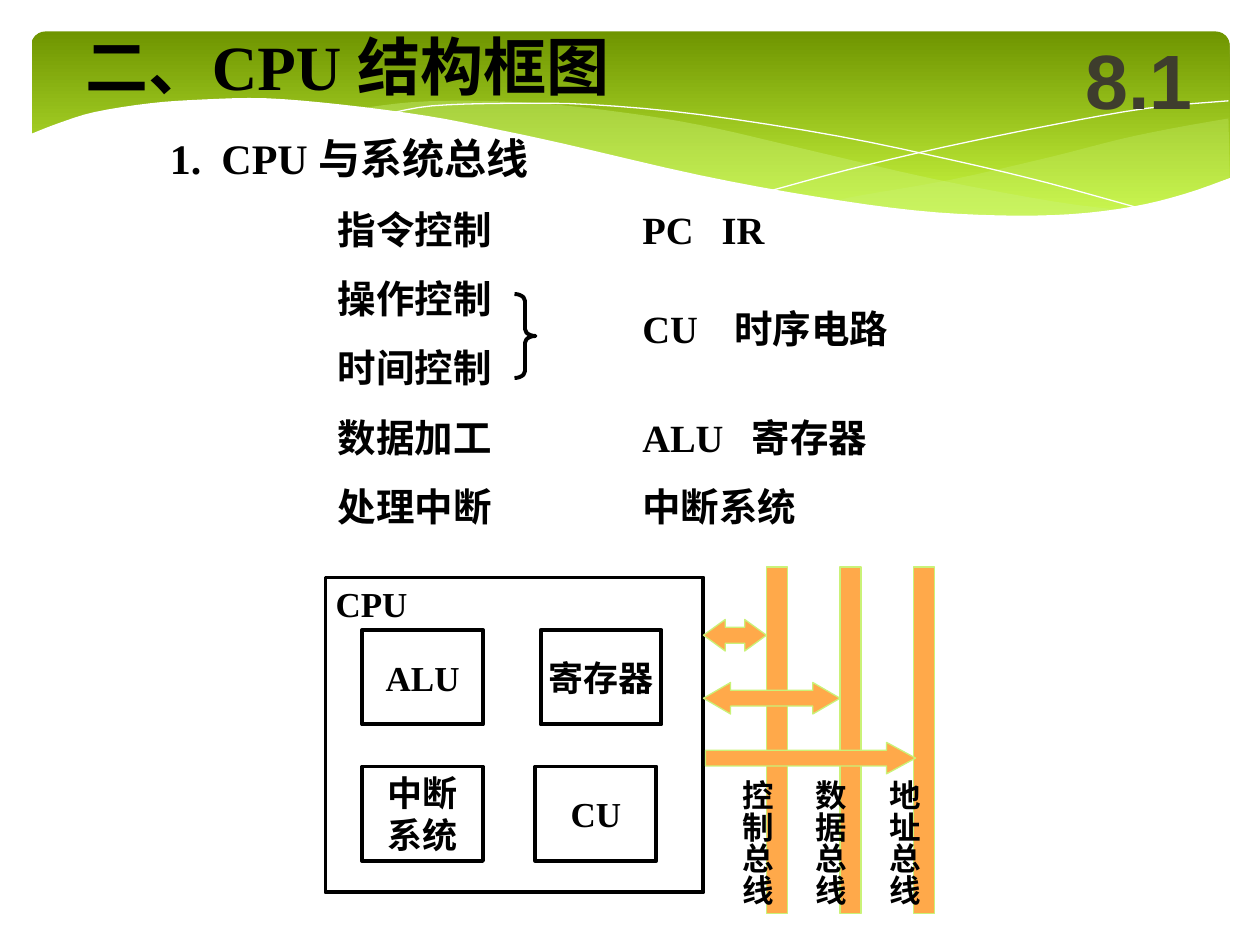
from dataclasses import dataclass

from lxml import etree
from pptx import Presentation
from pptx import util as u
from pptx.dml.color import RGBColor
from pptx.enum import shapes, text
from pptx.oxml.ns import qn

BLACK = RGBColor(0x00, 0x00, 0x00)
WHITE = RGBColor(0xFF, 0xFF, 0xFF)
GREEN = RGBColor(0x6F, 0x95, 0x00)
LIME = RGBColor(0xD0, 0xFF, 0x44)
PALE = RGBColor(0xCA, 0xF2, 0x78)
ORANGE = RGBColor(0xFF, 0xA9, 0x4A)
GRAY = RGBColor(0x3E, 0x3D, 0x2D)

CELL = u.Inches(1) / 12  # the page is a grid of 120 columns and 90 rows
KINDS = shapes.MSO_SHAPE
CENTER = {"alignment": text.PP_ALIGN.CENTER}
MIDDLE = {"vertical_anchor": text.MSO_ANCHOR.MIDDLE}
NO_INSET = dict.fromkeys(
    ("margin_left", "margin_top", "margin_right", "margin_bottom"), 0)

# Knots of the banner curves, in hundredths of an inch
BACK_WAVE = [(975, 94), (935, 101), (891, 110), (832, 125), (753, 143), (661, 160),
             (705, 165), (757, 170), (803, 172), (854, 170), (905, 163), (942, 154),
             (976, 141)]
MIDDLE_TOP = [(893, 167), (837, 160), (741, 142), (629, 116), (569, 102), (514, 92),
              (441, 83), (380, 80), (328, 81), (286, 86)]
MIDDLE_BOTTOM = [(286, 86), (342, 94), (404, 106), (491, 126), (566, 143), (634, 156),
                 (709, 166), (773, 172), (828, 173), (876, 169), (893, 167)]
FRONT_WAVE = [(977, 141), (940, 154), (899, 164), (850, 170), (793, 171), (726, 167),
              (647, 156), (555, 139), (447, 114), (391, 102), (339, 92), (271, 83),
              (211, 78), (161, 79), (119, 82), (75, 89), (46, 98), (23, 107)]
FALLING_LINE = [(309, 90), (343, 84), (401, 82), (469, 83), (556, 91), (665, 108),
                (760, 128), (831, 145), (907, 166)]
RISING_LINE = [(613, 151), (672, 135), (748, 117), (836, 99), (910, 86), (975, 80)]


@dataclass
class Box:
    left: float
    top: float
    width: float
    height: float

    def inner(self, left, top, width, height):
        return Box(self.left + left, self.top + top, width, height)

    def emu(self):
        return [round(v * CELL) for v in (self.left, self.top, self.width, self.height)]


def assign(target, values):
    for name, value in values.items():
        setattr(target, name, value)


def write(shape, lines, size, color=BLACK, font="Times New Roman",
          frame_format=None, para_format=None, tab=None):
    frame = shape.text_frame
    assign(frame, {"word_wrap": True, **(frame_format or {})})
    for index, line in enumerate(lines):
        para = frame.paragraphs[0] if index == 0 else frame.add_paragraph()
        para.text = line
        if tab:
            stops = etree.SubElement(para._p.get_or_add_pPr(), qn("a:tabLst"))
            etree.SubElement(stops, qn("a:tab"), pos=str(u.Inches(tab)), algn="l")
        assign(para, para_format or {})
        for span in para.runs:
            assign(span.font, {"name": font, "size": u.Pt(size), "bold": True})
            span.font.color.rgb = color


def add_text(page, box, line, size, **options):
    shape = page.shapes.add_textbox(*box.emu())
    write(shape, [line], size, **options)
    return shape


def paint(shape, fill=None, line=None, width=0.75, alpha=None):
    shape.shadow.inherit = False
    if fill is None:
        shape.fill.background()
    else:
        shape.fill.solid()
        shape.fill.fore_color.rgb = fill
    if alpha is not None:
        color = shape._element.spPr.find(qn("a:solidFill"))[0]
        etree.SubElement(color, qn("a:alpha"), val=str(alpha * 1000))
    if line is None:
        shape.line.fill.background()
    else:
        shape.line.color.rgb = line
        shape.line.width = u.Pt(width)


def add_shape(page, kind, box, adjust=(), **look):
    shape = page.shapes.add_shape(kind, *box.emu())
    for index, value in enumerate(adjust):
        shape.adjustments[index] = value
    paint(shape, **look)
    return shape


def smooth(knots, steps=4):
    """Sample a Catmull-Rom curve through the knots."""
    ends = [knots[0], *knots, knots[-1]]
    points = [knots[0]]
    for a, b, c, d in zip(ends, ends[1:], ends[2:], ends[3:]):
        for t in (step / steps for step in range(1, steps + 1)):
            points.append(tuple(
                (2 * q + (r - p) * t + (2 * p - 5 * q + 4 * r - s) * t ** 2
                 + (3 * q - p - 3 * r + s) * t ** 3) / 2
                for p, q, r, s in zip(a, b, c, d)))
    return points


def add_curve(page, box, points, close=True, **look):
    left, top = box.emu()[:2]
    places = [(left + u.Inches(x / 100), top + u.Inches(y / 100)) for x, y in points]
    builder = page.shapes.build_freeform(*places[0], scale=1.0)
    builder.add_line_segments(places[1:], close=close)
    paint(builder.convert_to_shape(), **look)


def draw_banner(page, box):
    # Gradient panel
    panel = add_shape(page, KINDS.ROUNDED_RECTANGLE, box.inner(3, 3, 114.1, 18.7), [0.07])
    panel.fill.gradient()
    panel.fill.gradient_angle = 270
    for stop, color, position in zip(panel.fill.gradient_stops, (GREEN, LIME), (0, 1)):
        stop.color.rgb = color
        stop.position = position
    # Waves and hairlines
    add_curve(page, box, smooth(BACK_WAVE), fill=PALE, alpha=29)
    add_curve(page, box, smooth(MIDDLE_TOP) + smooth(MIDDLE_BOTTOM), fill=PALE, alpha=40)
    for knots in (FALLING_LINE, RISING_LINE):
        add_curve(page, box, smooth(knots), close=False, line=WHITE, width=0)
    add_curve(page, box, smooth(FRONT_WAVE) + [(23, 224), (977, 224)], fill=WHITE)
    # Title and section number
    add_text(page, box.inner(7, 2, 75, 8.4), "二、CPU 结构框图", 36)
    add_text(page, box.inner(101, 2, 15, 11), "8.1", 44, color=GRAY, font="Arial",
             frame_format=MIDDLE, para_format=CENTER)


def draw_functions(page, box):
    add_text(page, box.inner(0, 0, 42, 6), "1.\tCPU 与系统总线", 24, tab=0.41)
    # Functions on the left, the units that carry them out on the right
    first, pitch, height = 7, 6.6, 5.64
    names = ["指令控制", "操作控制", "时间控制", "数据加工", "处理中断"]
    for row, name in enumerate(names):
        add_text(page, box.inner(16, first + row * pitch, 28, height), name, 22)
    units = [(0, "PC\tIR", 0.63), (1.43, "CU\t时序电路", 0.73),
             (3, "ALU\t寄存器", 0.87), (4, "中断系统", None)]
    for row, name, tab in units:
        add_text(page, box.inner(45, first + row * pitch, 36, height), name, 22, tab=tab)
    add_shape(page, KINDS.RIGHT_BRACE, box.inner(34, 16, 2, 8), [0.33, 0.5],
              line=BLACK, width=2.25)


def draw_cpu(page, box):
    outline = {"line": BLACK, "width": 2.25}
    shell = add_shape(page, KINDS.RECTANGLE, box, **outline)
    write(shell, ["CPU"], 20, para_format={"alignment": text.PP_ALIGN.LEFT},
          frame_format={"vertical_anchor": text.MSO_ANCHOR.TOP,
                        "margin_left": u.Inches(0.08), "margin_top": u.Inches(0.04)})
    units = [(3.5, 5, ["ALU"]), (20.5, 5, ["寄存器"]),
             (3.5, 18, ["中断", "系统"]), (20, 18, ["CU"])]
    for left, top, lines in units:
        unit = add_shape(page, KINDS.RECTANGLE, box.inner(left, top, 11.5, 9), **outline)
        write(unit, lines, 20, frame_format={**NO_INSET, **MIDDLE}, para_format=CENTER)


def draw_buses(page, box):
    look = {"fill": ORANGE, "line": PALE}
    names = ["控制总线", "数据总线", "地址总线"]
    lefts = [6 + 7 * index for index in range(len(names))]
    for left in lefts:
        add_shape(page, KINDS.RECTANGLE, box.inner(left, 0, 2, box.height), **look)
    # Arrows between the CPU and the buses
    arrows = [(KINDS.LEFT_RIGHT_ARROW, 0, 5, 6, [0.51, 0.69]),
              (KINDS.LEFT_RIGHT_ARROW, 0, 11, 13, [0.5, 0.86]),
              (KINDS.RIGHT_ARROW, 0.2, 16.7, 20, [0.5, 0.92])]
    for kind, left, top, width, adjust in arrows:
        add_shape(page, kind, box.inner(left, top, width, 3), adjust, **look)
    # Vertical bus names
    across, along = u.Inches(0.05), u.Inches(0.1)
    insets = {"margin_left": across, "margin_right": across,
              "margin_top": along, "margin_bottom": along, "word_wrap": False}
    for left, name in zip(lefts, names):
        label = add_text(page, box.inner(left - 4.5, 19.1, 6, 13.2), name, 18,
                         frame_format=insets)
        label.text_frame._txBody.bodyPr.set("vert", "eaVert")


def main():
    deck = Presentation()
    assign(deck, {"slide_width": u.Inches(10), "slide_height": u.Inches(7.5)})
    page = deck.slides.add_slide(deck.slide_layouts[6])
    draw_banner(page, Box(0, 0, 120, 27))
    draw_functions(page, Box(15, 12, 81, 40))
    draw_cpu(page, Box(31, 55, 36, 30))
    draw_buses(page, Box(67, 54, 22, 33))
    deck.save("out.pptx")


if __name__ == "__main__":
    main()
